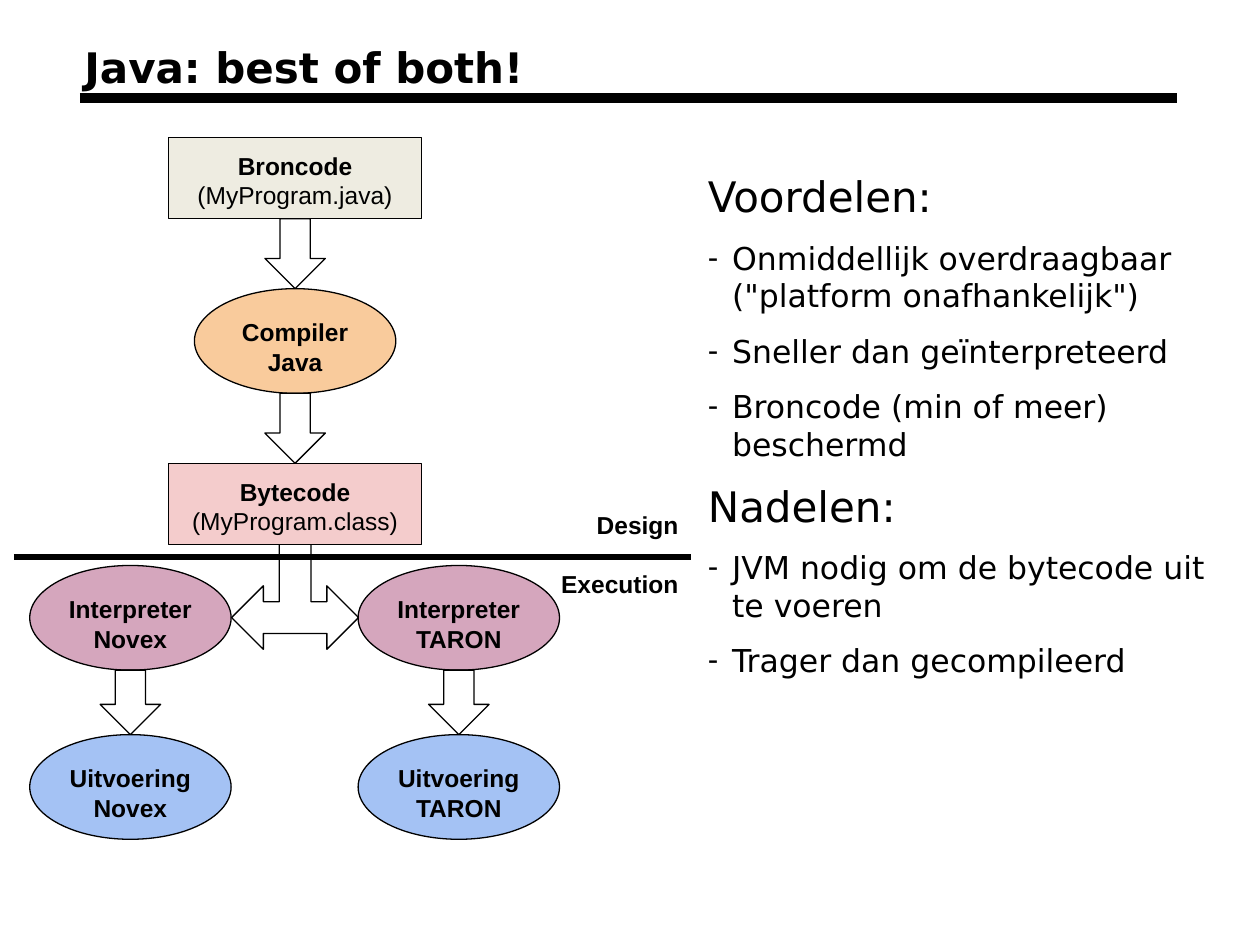
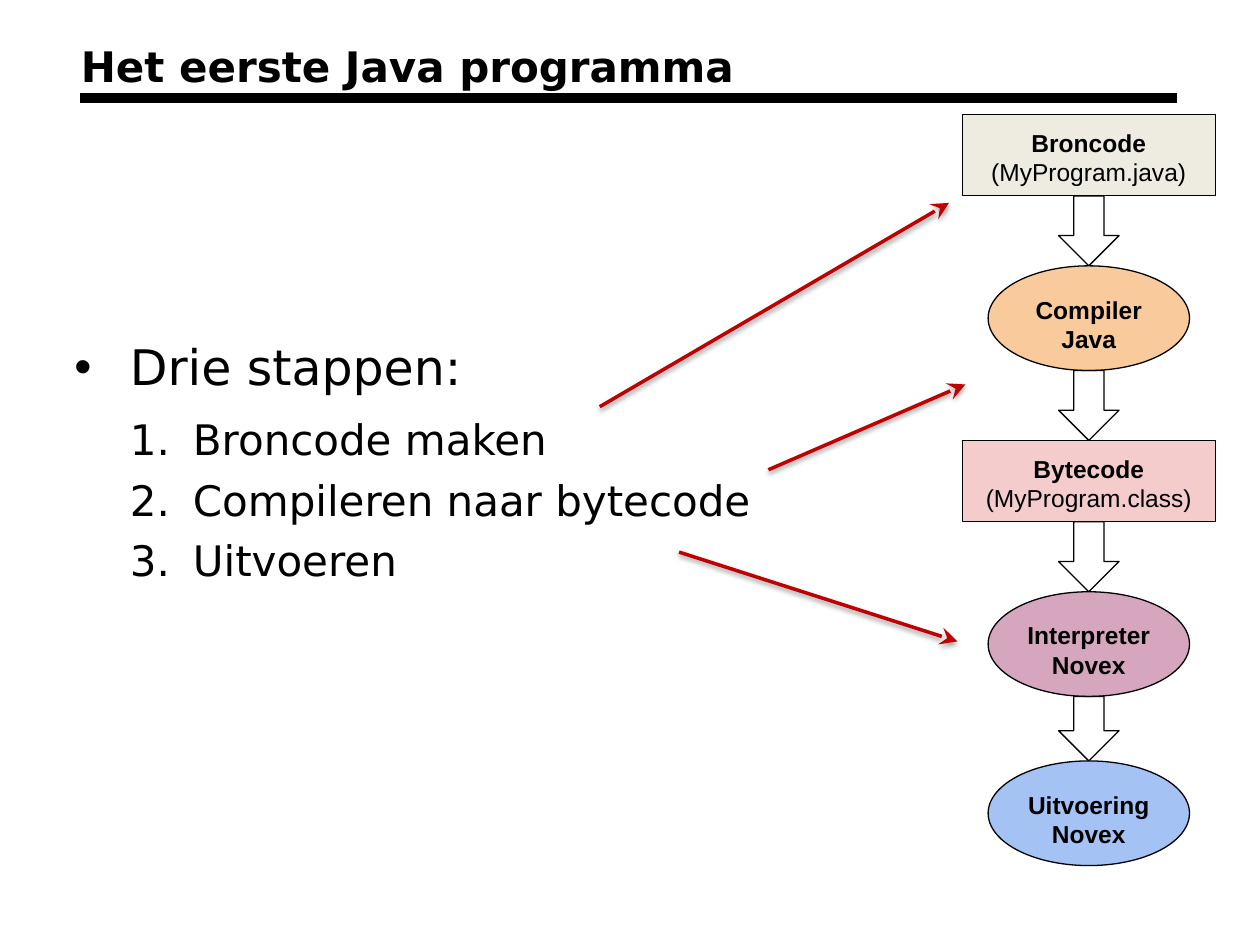
"""Build two slides on how Java code is compiled and run."""
import lxml.etree
import pptx
import pptx.dml.color
import pptx.enum.shapes
import pptx.enum.text
import pptx.oxml.ns
import pptx.util

Cm = pptx.util.Cm
Pt = pptx.util.Pt
SHAPE = pptx.enum.shapes.MSO_SHAPE
ALIGN = pptx.enum.text.PP_ALIGN
ANCHOR = pptx.enum.text.MSO_ANCHOR
qn = pptx.oxml.ns.qn

BLACK = "000000"
RED = "C00000"
BODY_FONT = "DejaVu Sans"
LABEL_FONT = "Arial"

NODE_SIZES = {SHAPE.RECTANGLE: (5.1, 1.64), SHAPE.OVAL: (4.06, 2.11)}
SOURCE = (SHAPE.RECTANGLE, "EEECE1", "Broncode", "(MyProgram.java)")
COMPILER = (SHAPE.OVAL, "F9CB9C", "Compiler", "Java")
BYTECODE = (SHAPE.RECTANGLE, "F4CCCC", "Bytecode", "(MyProgram.class)")
PLATFORMS = ("Novex", "TARON")
COMPILE_GAP = 1.41
RUN_GAP = 1.3
ARROW_WIDTH = 1.22


def interpreter(platform):
    """Return the interpreter node for a platform."""
    return SHAPE.OVAL, "D5A6BD", "Interpreter", platform


def execution(platform):
    """Return the execution node for a platform."""
    return SHAPE.OVAL, "A4C2F4", "Uitvoering", platform


def rgb(value):
    """Turn a hex string into a colour."""
    return pptx.dml.color.RGBColor.from_string(value)


def write(tf, text, size=14, font=LABEL_FONT, bold=False, align=ALIGN.LEFT, before=0):
    """Add a formatted paragraph to a text frame and return it."""
    p = tf.paragraphs[0]
    if p.runs:
        p = tf.add_paragraph()
    p.alignment = align
    p.space_before = Pt(before)
    r = p.add_run()
    r.text = text
    r.font.size = Pt(size)
    r.font.name = font
    r.font.bold = bold
    r.font.color.rgb = rgb(BLACK)
    return p


def bullet(p, margin, hang, char=None):
    """Give a paragraph a bullet character, or a number if there is none."""
    pPr = p._p.get_or_add_pPr()
    pPr.set("marL", str(Cm(margin)))
    pPr.set("indent", str(-Cm(hang)))
    if char:
        lxml.etree.SubElement(pPr, qn("a:buFont"), typeface=LABEL_FONT)
        lxml.etree.SubElement(pPr, qn("a:buChar"), char=char)
    else:
        lxml.etree.SubElement(pPr, qn("a:buAutoNum"), type="arabicPeriod")


def set_frame(tf, anchor=ANCHOR.TOP, side=0.25, top=0.13):
    """Set wrapping, anchor and margins of a text frame."""
    tf.word_wrap = True
    tf.auto_size = pptx.enum.text.MSO_AUTO_SIZE.NONE
    tf.vertical_anchor = anchor
    tf.margin_left = tf.margin_right = Cm(side)
    tf.margin_top = tf.margin_bottom = Cm(top)


def add_text(s, x, y, w, h, **frame):
    """Add a text box and return its text frame."""
    tf = s.shapes.add_textbox(Cm(x), Cm(y), Cm(w), Cm(h)).text_frame
    set_frame(tf, **frame)
    return tf


def add_shape(s, kind, x, y, w, h, fill=None):
    """Add a thinly outlined shape, filled only if a colour is given."""
    sp = s.shapes.add_shape(kind, Cm(x), Cm(y), Cm(w), Cm(h))
    sp.shadow.inherit = False
    if fill:
        sp.fill.solid()
        sp.fill.fore_color.rgb = rgb(fill)
    else:
        sp.fill.background()
    sp.line.color.rgb = rgb(BLACK)
    sp.line.width = Pt(0.75)
    return sp


def add_line(s, x1, y1, x2, y2, width, color=BLACK):
    """Add a straight line and return it with its empty effect list."""
    line = s.shapes.add_connector(
        pptx.enum.shapes.MSO_CONNECTOR.STRAIGHT, Cm(x1), Cm(y1), Cm(x2), Cm(y2))
    line.line.color.rgb = rgb(color)
    line.line.width = Pt(width)
    effects = lxml.etree.SubElement(line._element.spPr, qn("a:effectLst"))
    return line, effects


def add_pointer(s, x1, y1, x2, y2):
    """Add a red arrow with a soft shadow."""
    line, effects = add_line(s, x1, y1, x2, y2, 2, RED)
    lxml.etree.SubElement(line.line._get_or_add_ln(), qn("a:tailEnd"),
                          type="stealth", w="lg", len="lg")
    shadow = lxml.etree.SubElement(
        effects, qn("a:outerShdw"), blurRad=str(Pt(3.1)), dist=str(Pt(1.6)),
        dir="5400000", rotWithShape="0")
    color = lxml.etree.SubElement(shadow, qn("a:srgbClr"), val=BLACK)
    lxml.etree.SubElement(color, qn("a:alpha"), val="38000")


def add_node(s, cx, top, node):
    """Add a labelled node centred on cx and return its bottom."""
    kind, fill, name, detail = node
    w, h = NODE_SIZES[kind]
    sp = add_shape(s, kind, cx - w / 2, top, w, h, fill)
    set_frame(sp.text_frame, side=0, top=0.27)
    write(sp.text_frame, name, bold=True, align=ALIGN.CENTER)
    write(sp.text_frame, detail, bold=kind == SHAPE.OVAL, align=ALIGN.CENTER)
    return top + h


def add_chain(s, cx, top, nodes, gaps):
    """Stack nodes, with a down arrow filling each gap between them."""
    bottom = add_node(s, cx, top, nodes[0])
    for node, gap in zip(nodes[1:], gaps):
        add_shape(s, SHAPE.DOWN_ARROW, cx - ARROW_WIDTH / 2, bottom, ARROW_WIDTH, gap)
        bottom = add_node(s, cx, bottom + gap, node)


def add_slide(prs, title, x, y, w):
    """Add a slide with its title and the heavy rule below it."""
    s = prs.slides.add_slide(prs.slide_layouts[5])
    sp = s.shapes.title
    sp.left, sp.top, sp.width, sp.height = Cm(x), Cm(y), Cm(w), Cm(3.18)
    set_frame(sp.text_frame)
    write(sp.text_frame, title, size=24, font=BODY_FONT, bold=True)
    add_line(s, 1.61, 1.98, 23.72, 1.98, 6)
    return s


def add_pros_and_cons(s):
    """Add the lists of advantages and disadvantages."""
    lists = {
        "Voordelen:": ['Onmiddellijk overdraagbaar ("platform onafhankelijk")',
                       "Sneller dan geïnterpreteerd",
                       "Broncode (min of meer) beschermd"],
        "Nadelen:": ["JVM nodig om de bytecode uit te voeren",
                     "Trager dan gecompileerd"],
    }
    tf = add_text(s, 14.02, 3.31, 10.57, 12.57)
    before = 0
    for heading, points in lists.items():
        write(tf, heading, size=24, font=BODY_FONT, before=before)
        before = 10
        for point in points:
            p = write(tf, point, size=18, font=BODY_FONT, before=before)
            bullet(p, 0.49, 0.49, "-")


def add_steps(s):
    """Add the numbered steps."""
    tf = add_text(s, 1.1, 6.66, 15.44, 11)
    bullet(write(tf, "Drie stappen:", size=28, font=BODY_FONT), 1.27, 1.12, "•")
    steps = ["Broncode maken", "Compileren naar bytecode", "Uitvoeren"]
    for i, step in enumerate(steps):
        p = write(tf, step, size=24, font=BODY_FONT, before=6 if i else 10)
        p.level = 1
        bullet(p, 2.54, 1.27)


def build_best_of_both(prs):
    """Build the slide that compares the two platforms."""
    s = add_slide(prs, "Java: best of both!", 1.45, 0.71, 21.69)
    add_shape(s, SHAPE.LEFT_RIGHT_UP_ARROW, 4.67, 10.14, 2.56, 2.95)
    add_pros_and_cons(s)
    add_chain(s, 5.95, 2.77, [SOURCE, COMPILER, BYTECODE], [COMPILE_GAP] * 2)
    for cx, platform in zip((2.63, 9.25), PLATFORMS):
        add_chain(s, cx, 11.4, [interpreter(platform), execution(platform)], [RUN_GAP])
    add_line(s, 0.28, 11.23, 13.92, 11.23, 3)
    for label, y, anchor in (("Design", 9.67, ANCHOR.BOTTOM),
                             ("Execution", 11.23, ANCHOR.TOP)):
        tf = add_text(s, 10.04, y, 3.89, 1.45, anchor=anchor, top=0.25)
        write(tf, label, bold=True, align=ALIGN.RIGHT)


def build_first_program(prs):
    """Build the slide with the three steps."""
    s = add_slide(prs, "Het eerste Java programma", 1.38, 0.68, 22.86)
    add_steps(s)
    for ends in ((12.09, 8.2, 19.13, 4.09),
                 (15.49, 9.47, 19.46, 7.75),
                 (13.69, 11.13, 19.3, 12.93)):
        add_pointer(s, *ends)
    platform = PLATFORMS[0]
    nodes = [SOURCE, COMPILER, BYTECODE, interpreter(platform), execution(platform)]
    add_chain(s, 21.95, 2.31, nodes, [COMPILE_GAP] * 3 + [RUN_GAP])


def main():
    """Build and save the presentation."""
    prs = pptx.Presentation()
    prs.slide_width, prs.slide_height = Cm(25.4), Cm(19.05)
    build_best_of_both(prs)
    build_first_program(prs)
    prs.save("out.pptx")


if __name__ == "__main__":
    main()
